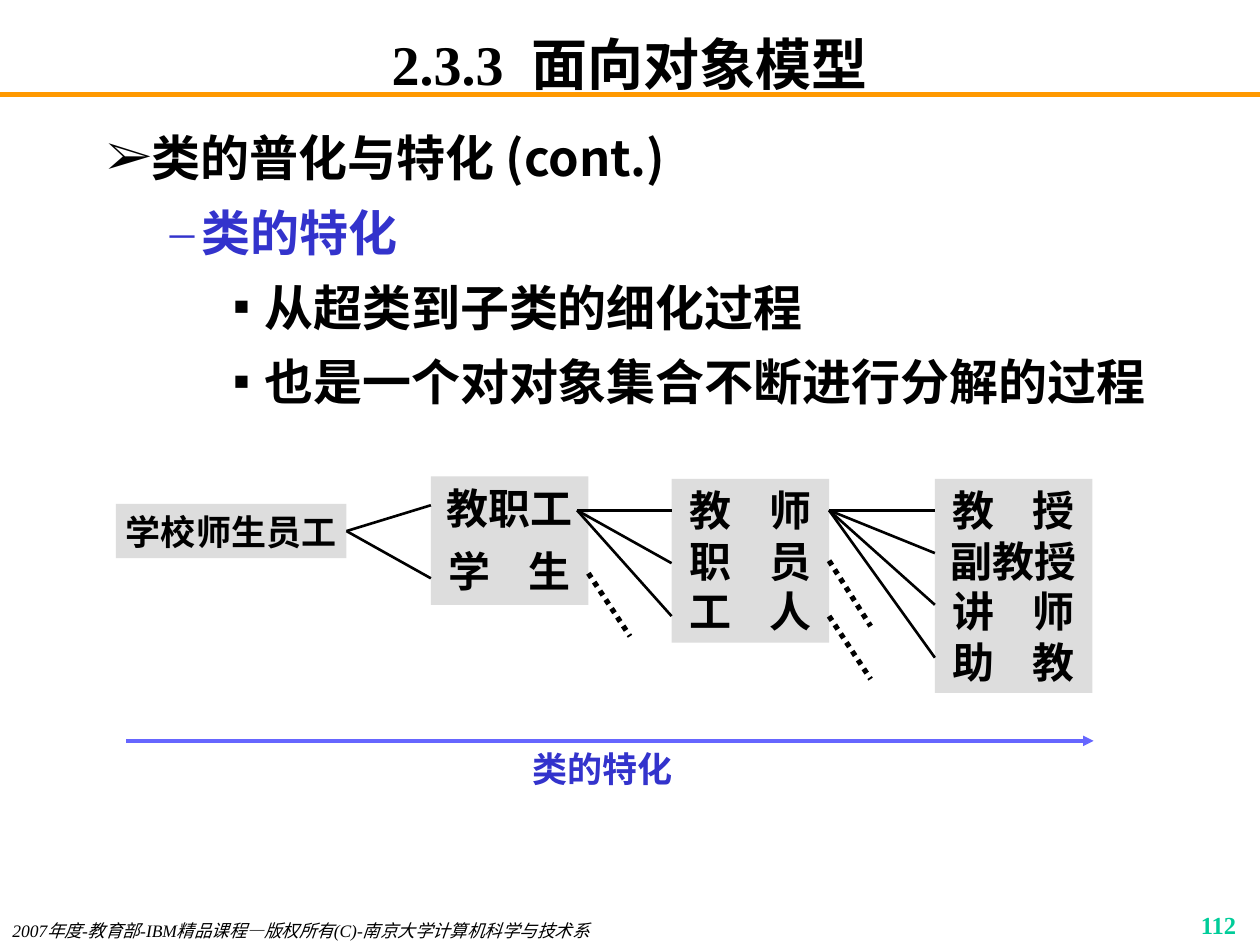
from dataclasses import dataclass

from lxml import etree
from pptx import Presentation
from pptx import util as u
from pptx.dml import color
from pptx.enum import dml, shapes, text
from pptx.oxml import ns


@dataclass(frozen=True)
class Theme:
    serif: str = "Times New Roman"
    sans: str = "Noto Sans CJK SC"
    ink: str = "000000"
    accent: str = "3333CC"
    arrow: str = "6666FF"
    rule: str = "FF9900"
    number: str = "00CC99"
    panel: str = "DDDDDD"
    title: int = 32
    body: int = 28
    member: int = 24
    label: int = 20
    page_number: int = 14
    footer: int = 10


@dataclass(frozen=True)
class Line:
    words: str
    size: int
    color: str = "000000"
    font: str = "Times New Roman"
    bold: bool = True
    italic: bool = False
    align: text.PP_ALIGN = text.PP_ALIGN.LEFT
    before: float = 0
    spacing: float = 1.0
    level: int = 0
    bullet: str = ""
    margin: float = 0
    hang: float = 0


@dataclass(frozen=True)
class ClassBox:
    left: float
    top: float
    width: float
    height: float
    members: tuple
    before: float = 0


@dataclass(frozen=True)
class Fan:
    start: tuple
    end_x: float
    end_ys: tuple


THEME = Theme()
CENTER, RIGHT = text.PP_ALIGN.CENTER, text.PP_ALIGN.RIGHT


def rgb(value: str) -> color.RGBColor:
    return color.RGBColor.from_string(value)


def add_bullet(para, line: Line) -> None:
    props = para._p.get_or_add_pPr()
    props.set("marL", str(u.Inches(line.margin)))
    props.set("indent", str(u.Inches(-line.hang)))
    etree.SubElement(props, ns.qn("a:buFont")).set("typeface", THEME.serif)
    etree.SubElement(props, ns.qn("a:buChar")).set("char", line.bullet)


def write_lines(frame, lines: list, **frame_format) -> None:
    for name, value in ({"word_wrap": True, "vertical_anchor": text.MSO_ANCHOR.TOP} | frame_format).items():
        setattr(frame, name, value)
    for index, line in enumerate(lines):
        para = frame.add_paragraph() if index else frame.paragraphs[0]
        if line.bullet:
            add_bullet(para, line)
        para_format = {"alignment": line.align, "level": line.level, "line_spacing": line.spacing,
                       "space_before": u.Pt(line.before if index else 0)}
        for name, value in para_format.items():
            setattr(para, name, value)
        span = para.add_run()
        span.text = line.words
        span_format = {"name": line.font, "size": u.Pt(line.size), "bold": line.bold, "italic": line.italic}
        for name, value in span_format.items():
            setattr(span.font, name, value)
        span.font.color.rgb = rgb(line.color)


def add_text(page, place: tuple, lines: list, **frame_format):
    box = page.shapes.add_textbox(*map(u.Inches, place))
    write_lines(box.text_frame, lines, **frame_format)
    return box


def add_panel(page, place: tuple, lines: list, **frame_format):
    box = page.shapes.add_shape(shapes.MSO_SHAPE.RECTANGLE, *map(u.Inches, place))
    box.shadow.inherit = False
    box.fill.solid()
    box.fill.fore_color.rgb = rgb(THEME.panel)
    box.line.fill.background()
    write_lines(box.text_frame, lines, auto_size=text.MSO_AUTO_SIZE.SHAPE_TO_FIT_TEXT, **frame_format)
    return box


def add_class_box(page, box: ClassBox):
    lines = [Line(member, THEME.member, align=CENTER, before=box.before) for member in box.members]
    return add_panel(page, (box.left, box.top, box.width, box.height), lines)


def add_line(page, start: tuple, end: tuple, line_color: str = THEME.ink, width: float = 1.5):
    line = page.shapes.add_connector(shapes.MSO_CONNECTOR.STRAIGHT, *map(u.Inches, start + end))
    line.line.color.rgb = rgb(line_color)
    line.line.width = u.Pt(width)
    etree.SubElement(line._element.spPr, ns.qn("a:effectLst"))
    return line


def add_fan(page, fan: Fan) -> list:
    return [add_line(page, fan.start, (fan.end_x, y)) for y in fan.end_ys]


def add_dots(page, start: tuple):
    line = add_line(page, start, (start[0] + 0.33, start[1] + 0.5), width=3)
    line.line.dash_style = dml.MSO_LINE.ROUND_DOT
    return line


def add_heading(page) -> None:
    add_line(page, (0, 0.75), (10, 0.75), THEME.rule, 3)
    add_text(page, (0.75, 0.25, 8.5, 0.5), [Line("2.3.3  面向对象模型", THEME.title, align=CENTER)],
             vertical_anchor=text.MSO_ANCHOR.MIDDLE, margin_top=0, margin_bottom=0)


def add_outline(page) -> None:
    levels = [("➢", 0.81, 0.31, THEME.ink), ("–", 1.25, 0.25, THEME.accent), ("▪", 1.75, 0.25, THEME.ink)]
    points = [(0, "类的普化与特化 (cont.)"), (1, "类的特化"), (2, "从超类到子类的细化过程"),
              (2, "也是一个对对象集合不断进行分解的过程")]
    lines = []
    for level, words in points:
        bullet, margin, hang, ink = levels[level]
        lines.append(Line(words, THEME.body, ink, THEME.sans, before=0.2 * THEME.body, spacing=1.1,
                          level=level, bullet=bullet, margin=margin, hang=hang))
    add_text(page, (0.25, 0.92, 9.25, 2.58), lines)


def add_class_tree(page) -> None:
    root = add_panel(page, (0.92, 4, 1.83, 0.43), [Line("学校师生员工", THEME.label, align=CENTER)],
                     margin_left=0, margin_right=0)
    boxes = [
        ClassBox(3.42, 3.78, 1.25, 1.02, ("教职工", "学    生"), 0.3 * THEME.member),
        ClassBox(5.33, 3.8, 1.25, 1.3, ("教    师", "职    员", "工    人")),
        ClassBox(7.42, 3.8, 1.25, 1.7, ("教    授", "副教授", "讲    师", "助    教")),
    ]
    _, staff, _ = [add_class_box(page, box) for box in boxes]
    for branch in add_fan(page, Fan((2.75, 4.26), 3.42, (4.01, 4.59))):
        branch.begin_connect(root, 3)
    add_fan(page, Fan((4.58, 4.05), 5.33, (4.05, 4.47, 4.89)))
    add_fan(page, Fan((6.58, 4.05), 7.42, (4.05, 4.39, 4.8, 5.22)))
    add_dots(page, (4.67, 4.55))
    add_dots(page, (6.58, 4.47)).begin_connect(staff, 3)
    add_dots(page, (6.58, 4.89))


def add_direction(page) -> None:
    add_text(page, (4.13, 5.88, 1.31, 0.43), [Line("类的特化", THEME.label, THEME.accent, align=CENTER)],
             word_wrap=False, auto_size=text.MSO_AUTO_SIZE.SHAPE_TO_FIT_TEXT)
    arrow = add_line(page, (1, 5.88), (8.68, 5.88), THEME.arrow, 2)
    etree.SubElement(arrow.line._get_or_add_ln(), ns.qn("a:tailEnd")).set("type", "triangle")


def add_footer(page) -> None:
    notice = "2007年度-教育部-IBM精品课程—版权所有(C)-南京大学计算机科学与技术系"
    add_text(page, (0, 7.25, 5.5, 0.25), [Line(notice, THEME.footer, bold=False, italic=True)])
    add_text(page, (7.83, 7.17, 2.08, 0.25), [Line("112", THEME.page_number, THEME.number, align=RIGHT)])


def main() -> None:
    deck = Presentation()
    deck.slide_width, deck.slide_height = u.Inches(10), u.Inches(7.5)
    page = deck.slides.add_slide(deck.slide_layouts[6])
    for draw in (add_heading, add_outline, add_footer, add_class_tree, add_direction):
        draw(page)
    deck.save("out.pptx")


if __name__ == "__main__":
    main()
